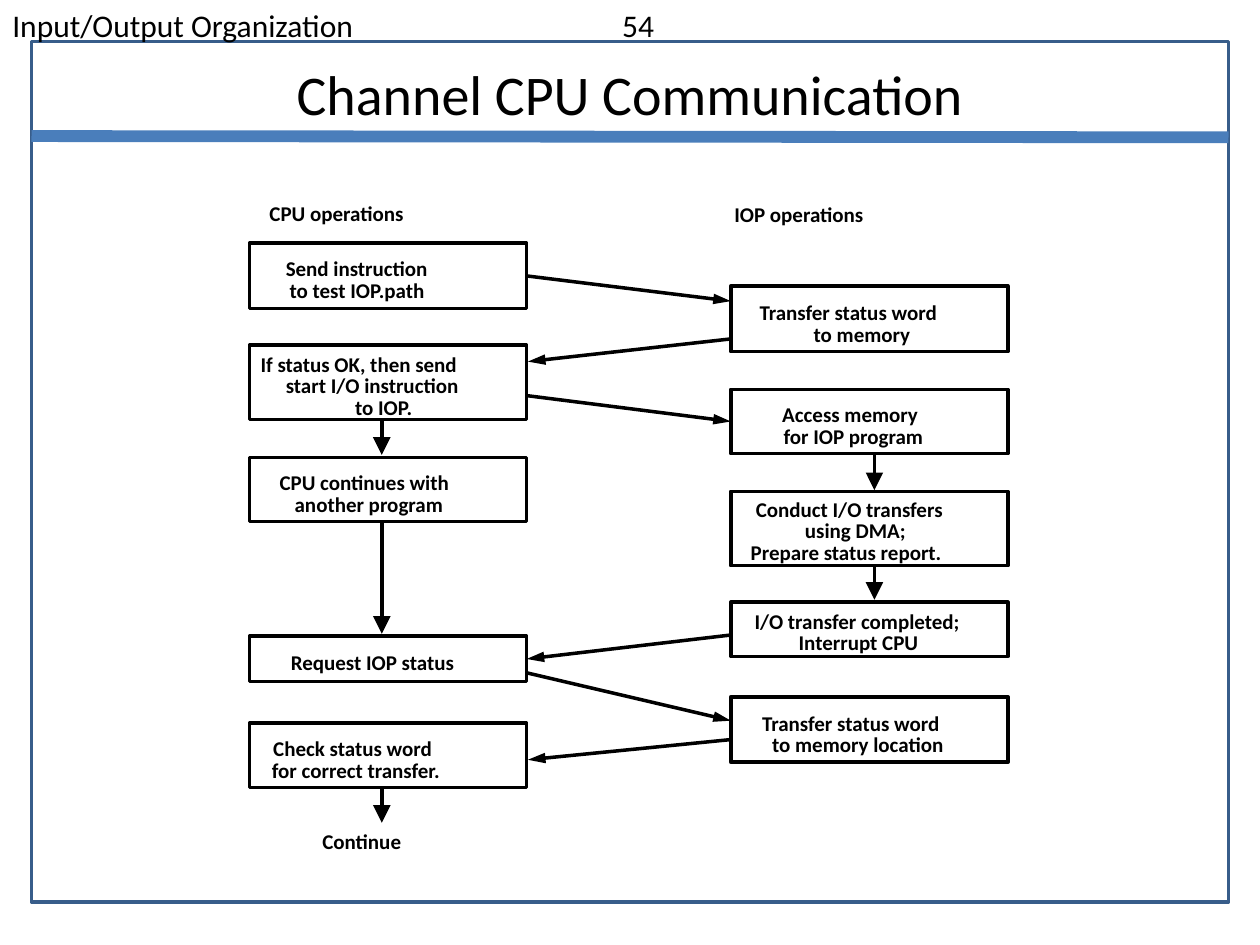
from lxml.etree import SubElement
from pptx import Presentation
from pptx.dml.color import RGBColor
from pptx.enum.shapes import MSO_CONNECTOR as Line, MSO_SHAPE as Preset
from pptx.enum.text import MSO_ANCHOR as Anchor, PP_ALIGN as Align
from pptx.oxml.ns import qn
from pptx.util import Inches, Pt

FONT = "Calibri"
COLORS = {"ink": "000000", "frame": "385D8A", "rule": "4A7EBB"}

CPU_LEFT, IOP_LEFT, BOX_WIDTH = 1.98, 5.8, 2.2
CPU_FLOW, IOP_FLOW = 3.03, 6.94  # x of the downward arrows
LINE_PITCH = 0.17
LABEL_HEIGHT = 0.3

# step: (box left, box top, box height, text top, [(line, left, width)])
STEPS = {
    "test": (CPU_LEFT, 1.93, 0.52, 1.98, [
        ("Send instruction", 2.17, 1.33), ("to test IOP.path", 2.2, 1.3)]),
    "start": (CPU_LEFT, 2.74, 0.59, 2.74, [
        ("If status OK, then send", 1.97, 1.76),
        ("start I/O instruction", 2.17, 1.58), ("to IOP.", 2.72, 0.67)]),
    "continue": (CPU_LEFT, 3.63, 0.51, 3.68, [
        ("CPU continues with", 2.12, 1.55), ("another program", 2.24, 1.38)]),
    "request": (CPU_LEFT, 5.05, 0.36, 5.11, [("Request IOP status", 2.21, 1.5)]),
    "check": (CPU_LEFT, 5.74, 0.51, 5.79, [
        ("Check status word", 2.07, 1.47), ("for correct transfer.", 2.06, 1.56)]),
    "status": (IOP_LEFT, 2.27, 0.52, 2.33, [
        ("Transfer status word", 5.93, 1.63), ("to memory", 6.36, 0.97)]),
    "access": (IOP_LEFT, 3.09, 0.51, 3.14, [
        ("Access memory", 6.11, 1.28), ("for IOP program", 6.12, 1.32)]),
    "conduct": (IOP_LEFT, 3.9, 0.59, 3.89, [
        ("Conduct I/O transfers", 5.9, 1.69), ("using DMA;", 6.29, 1),
        ("Prepare status report.", 5.86, 1.72)]),
    "completed": (IOP_LEFT, 4.78, 0.43, 4.78, [
        ("I/O transfer completed;", 5.89, 1.84), ("Interrupt CPU", 6.24, 1.15)]),
    "location": (IOP_LEFT, 5.53, 0.52, 5.59, [
        ("Transfer status word", 5.95, 1.63), ("to memory location", 6.03, 1.56)]),
}

# (text, left, top, width)
CAPTIONS = [
    ("CPU operations", 2.04, 1.54, 1.27),
    ("IOP operations", 5.73, 1.55, 1.23),
    ("Continue", 2.46, 6.53, 0.83),
]

# (start, end, step joined at start, step joined at end)
MESSAGES = [
    ((4.2, 2.21), (5.8, 2.39), "test", None),
    ((5.8, 2.69), (4.19, 2.87), None, None),
    ((4.18, 3.14), (5.8, 3.33), None, "access"),
    ((5.8, 5.04), (4.19, 5.22), None, "request"),
    ((4.18, 5.34), (5.8, 5.72), None, None),
    ((5.8, 5.87), (4.19, 6.03), None, None),
]

# (x, top, bottom)
FLOWS = [
    (CPU_FLOW, 3.33, 3.61), (CPU_FLOW, 4.14, 5.03), (CPU_FLOW, 6.26, 6.53),
    (IOP_FLOW, 3.61, 3.89), (IOP_FLOW, 4.49, 4.76),
]


def color(name):
    return RGBColor.from_string(COLORS[name])


def add_run(paragraph, text, size, bold=False):
    run = paragraph.add_run()
    run.text = text
    run.font.name, run.font.size, run.font.bold = FONT, Pt(size), bold
    run.font.color.rgb = color("ink")


def add_outline(slide, left, top, width, height, line_color="ink"):
    outline = slide.shapes.add_shape(
        Preset.RECTANGLE, Inches(left), Inches(top), Inches(width), Inches(height))
    outline.shadow.inherit = False
    outline.fill.background()
    outline.line.color.rgb = color(line_color)
    outline.line.width = Pt(2)
    return outline


def add_label(slide, text, left, top, width):
    label = slide.shapes.add_textbox(
        Inches(left), Inches(top), Inches(width), Inches(LABEL_HEIGHT))
    label.text_frame.word_wrap = False
    add_run(label.text_frame.paragraphs[0], text, 12, bold=True)


def add_line(slide, start, end, line_color="ink", width=2):
    line = slide.shapes.add_connector(
        Line.STRAIGHT, *(Inches(value) for value in (*start, *end)))
    line.line.color.rgb = color(line_color)
    line.line.width = Pt(width)
    SubElement(line._element.spPr, qn("a:effectLst"))
    return line


def add_arrow(slide, start, end, head_width="med"):
    arrow = add_line(slide, start, end)
    SubElement(arrow.line._get_or_add_ln(), qn("a:tailEnd"),
               type="triangle", w=head_width, len="lg")
    return arrow


def add_step(slide, left, top, height, text_top, lines):
    box = add_outline(slide, left, top, BOX_WIDTH, height)
    for row, (text, text_left, width) in enumerate(lines):
        add_label(slide, text, text_left, text_top + row * LINE_PITCH, width)
    return box


def add_header(slide):
    header = slide.shapes.add_textbox(0, 0, Inches(10), Inches(0.41))
    header.text_frame.word_wrap = True
    paragraph = header.text_frame.paragraphs[0]
    tabs = SubElement(paragraph._p.get_or_add_pPr(), qn("a:tabLst"))
    SubElement(tabs, qn("a:tab"), pos=str(Inches(4.84)), algn="l")
    add_run(paragraph, "Input/Output Organization\t54", 18)


def set_title(slide, text):
    title = slide.shapes.title
    title.left, title.top = Inches(0.79), Inches(0.42)
    title.width, title.height = Inches(8.42), Inches(0.64)
    title.text_frame.vertical_anchor = Anchor.TOP
    paragraph = title.text_frame.paragraphs[0]
    paragraph.alignment = Align.CENTER
    add_run(paragraph, text, 32)


def main():
    deck = Presentation()
    deck.slide_width, deck.slide_height = Inches(10), Inches(7.5)
    slide = deck.slides.add_slide(deck.slide_layouts[5])

    # Page frame, header and title
    add_outline(slide, 0.25, 0.33, 9.5, 6.83, "frame")
    add_header(slide)
    add_line(slide, (0.25, 1.08), (9.75, 1.09), "rule", 6.75)
    set_title(slide, "Channel CPU Communication")

    # Steps of both columns
    boxes = {name: add_step(slide, *step) for name, step in STEPS.items()}
    for caption in CAPTIONS:
        add_label(slide, *caption)

    # Messages between CPU and IOP
    for start, end, source, target in MESSAGES:
        message = add_arrow(slide, start, end)
        rightward = start[0] < end[0]
        if source:
            message.begin_connect(boxes[source], 3 if rightward else 1)
        if target:
            message.end_connect(boxes[target], 1 if rightward else 3)

    # Flow down each column
    for x, top, bottom in FLOWS:
        add_arrow(slide, (x, top), (x, bottom), head_width="lg")

    deck.save("out.pptx")


if __name__ == "__main__":
    main()
